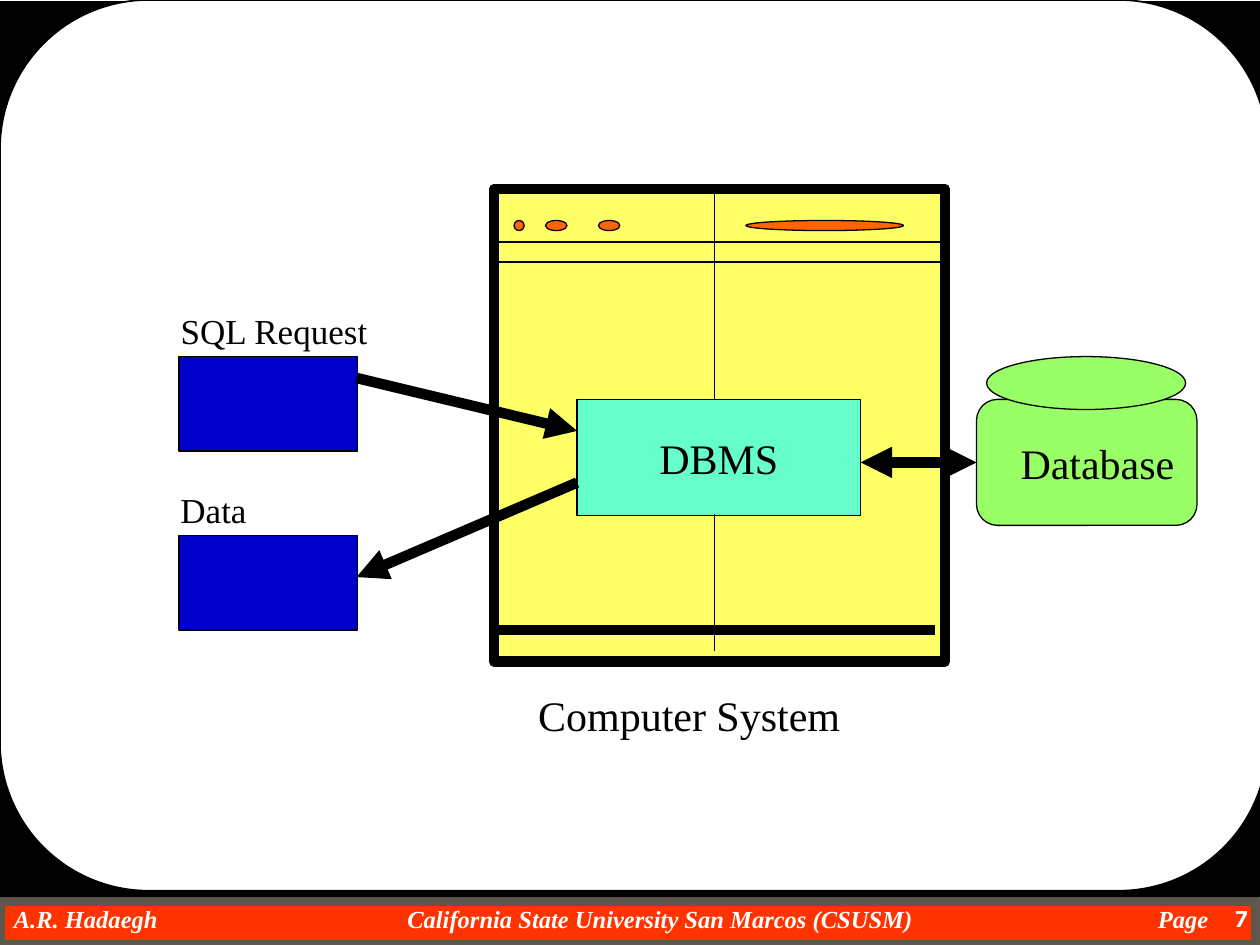
from pptx import Presentation
from pptx import util as u
from pptx.dml.color import RGBColor
from pptx.enum import shapes, text
from pptx.oxml.ns import qn
from lxml import etree

SERIF = "Times New Roman"
BLACK, WHITE = "000000", "FFFFFF"
THIN, THICK = 0.75, 6
RECT = shapes.MSO_SHAPE.RECTANGLE
ROUND = shapes.MSO_SHAPE.ROUNDED_RECTANGLE
OVAL = shapes.MSO_SHAPE.OVAL
LEFT, CENTER, RIGHT = text.PP_ALIGN.LEFT, text.PP_ALIGN.CENTER, text.PP_ALIGN.RIGHT


def color(value):
    return RGBColor.from_string(value)


def box(at):
    return [u.Inches(v) for v in at]


def add_shape(s, kind, at, fill, line=None, width=THIN, adj=None):
    sp = s.shapes.add_shape(kind, *box(at))
    sp.shadow.inherit = False
    sp.fill.solid()
    sp.fill.fore_color.rgb = color(fill)
    if line:
        sp.line.color.rgb = color(line)
        sp.line.width = u.Pt(width)
    else:
        sp.line.fill.background()
    if adj is not None:
        sp.adjustments[0] = adj
    return sp


def write(sp, words, size=24, font=SERIF, fill=BLACK, bold=False, italic=False,
          align=CENTER, anchor=text.MSO_ANCHOR.MIDDLE, wrap=False, inset=None):
    tf = sp.text_frame
    tf.word_wrap = wrap
    tf.vertical_anchor = anchor
    if inset is not None:
        tf.margin_left = tf.margin_right = u.Inches(inset)
        tf.margin_top = tf.margin_bottom = u.Inches(inset)
    p = tf.paragraphs[0]
    p.alignment = align
    r = p.add_run()
    r.text = words
    r.font.size = u.Pt(size)
    r.font.name = font
    r.font.bold = bold
    r.font.italic = italic
    r.font.color.rgb = color(fill)


def add_text(s, at, words, **fmt):
    write(s.shapes.add_textbox(*box(at)), words, **fmt)


def add_line(s, start, end, width=THIN, heads=()):
    c = s.shapes.add_connector(shapes.MSO_CONNECTOR.STRAIGHT, *box(start + end))
    c.line.color.rgb = color(BLACK)
    c.line.width = u.Pt(width)
    for head in heads:
        etree.SubElement(c.line._get_or_add_ln(), qn("a:" + head), type="triangle")
    etree.SubElement(c._element.spPr, qn("a:effectLst"))


def add_frame(s):
    add_shape(s, RECT, (0, 7.15, 9.97, 0.35), "FF3300", "5E574E", THICK)
    footer = [
        (0.11, 2, "A.R. Hadaegh", LEFT),
        (2.74, 5, "California State University San Marcos (CSUSM)", CENTER),
        (8.59, 1, "Page", RIGHT),
    ]
    for left, width, words, align in footer:
        add_text(s, (left, 7.18, width, 0.23), words, size=14, fill=WHITE,
                 bold=True, italic=True, align=align, inset=0)
    add_shape(s, RECT, (0, 0.01, 10, 7.11), BLACK)
    add_shape(s, ROUND, (0, 0, 10.06, 7.07), WHITE, BLACK, 1, adj=0.167)
    add_text(s, (9.25, 7.12, 0.75, 0.38), "7", size=14, font="Karla", fill=WHITE,
             bold=True, align=RIGHT, anchor=text.MSO_ANCHOR.TOP, wrap=True)


def add_computer(s):
    add_shape(s, RECT, (3.92, 1.5, 3.58, 3.75), "FFFF66", BLACK, THICK)
    dbms = add_shape(s, RECT, (4.58, 3.17, 2.25, 0.92), "66FFCC", BLACK)
    write(dbms, "DBMS")
    add_text(s, (4.17, 5.42, 2.6, 0.5), "Computer System")
    for y in (1.92, 2.08):
        add_line(s, (3.92, y), (7.5, y))
    for top, bottom in ((1.5, 3.17), (4.08, 5.17)):
        add_line(s, (5.67, top), (5.67, bottom))
    add_line(s, (3.92, 5), (7.42, 5), THICK)
    for left, width in ((4.08, 0.08), (4.33, 0.17), (4.75, 0.17), (5.92, 1.25)):
        add_shape(s, OVAL, (left, 1.75, width, 0.08), "FF6600", BLACK)


def add_database(s):
    green = "99FF66"
    add_shape(s, ROUND, (7.75, 3.17, 1.75, 1), green, BLACK, adj=0.167)
    add_shape(s, OVAL, (7.83, 2.83, 1.58, 0.42), green, BLACK)
    write(add_shape(s, RECT, (8, 3.42, 1.42, 0.5), green), "Database")


def add_client(s):
    for words, top, width in (("SQL Request", 2.83, 1.69), ("Data", 4.25, 0.73)):
        add_text(s, (1.33, top - 0.42, width, 0.43), words, size=20)
        add_shape(s, RECT, (1.42, top, 1.42, 0.75), "0000CC", BLACK)


def add_flows(s):
    add_line(s, (2.83, 3), (4.58, 3.42), THICK, ["tailEnd"])
    add_line(s, (4.58, 3.83), (2.83, 4.58), THICK, ["tailEnd"])
    add_line(s, (6.83, 3.67), (7.75, 3.67), THICK, ["headEnd", "tailEnd"])


def main():
    prs = Presentation()
    prs.slide_width, prs.slide_height = u.Inches(10), u.Inches(7.5)
    s = prs.slides.add_slide(prs.slide_layouts[6])
    add_frame(s)
    add_computer(s)
    add_database(s)
    add_client(s)
    add_flows(s)
    prs.save("out.pptx")


main()
